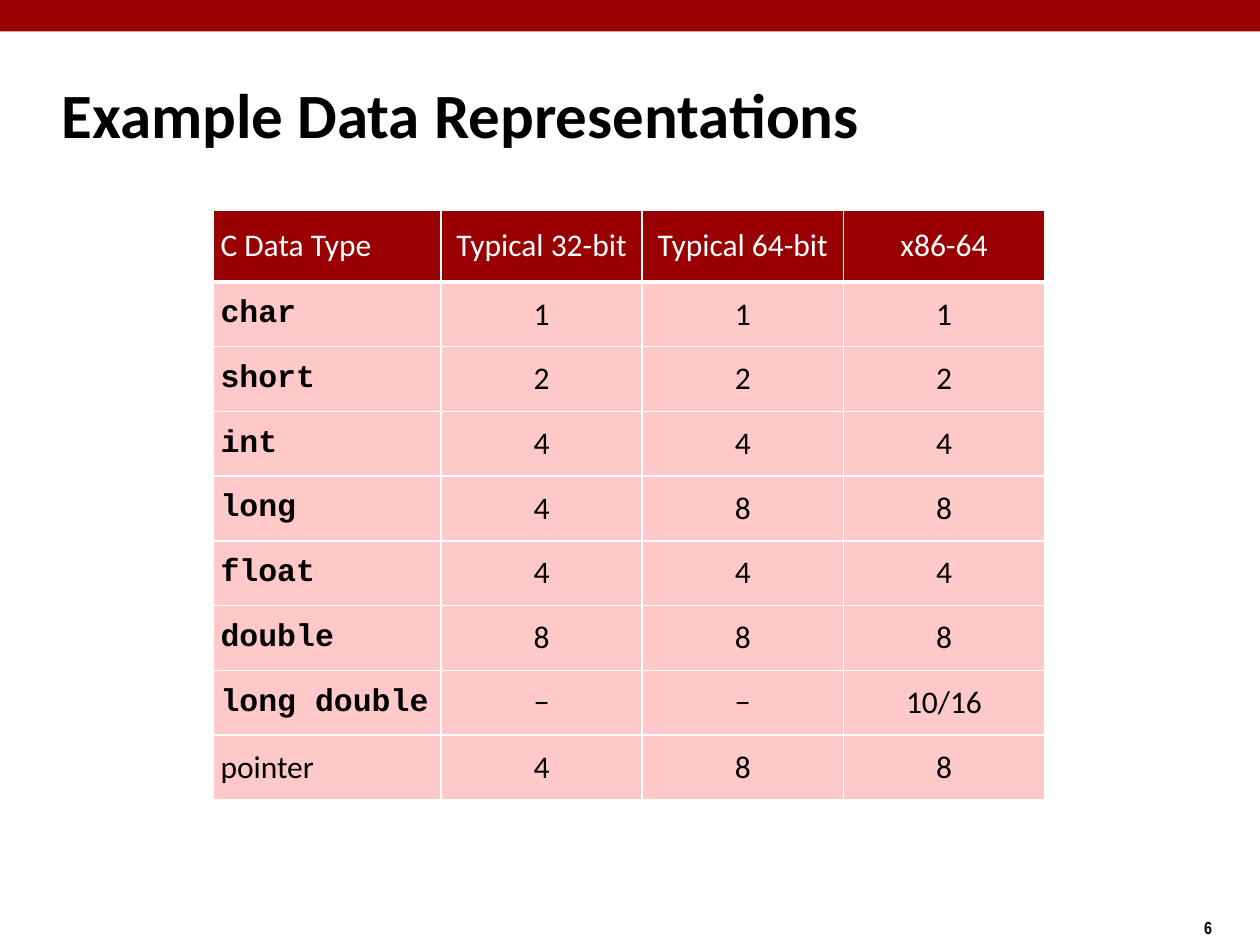
from pptx import Presentation
from pptx.dml.color import RGBColor
from pptx.enum.shapes import MSO_SHAPE
from pptx.enum.text import MSO_ANCHOR, PP_ALIGN
from pptx.oxml.ns import qn
from pptx.util import Pt
from lxml.etree import SubElement

BAR_RED = RGBColor(0x99, 0x00, 0x00)
HEADER_RED = RGBColor(0x98, 0x00, 0x02)
BODY_PINK = RGBColor(0xFF, 0xC8, 0xC9)
WHITE = RGBColor(0xFF, 0xFF, 0xFF)
BLACK = RGBColor(0x00, 0x00, 0x00)

THIN_BORDER, THICK_BORDER = 0.96, 3
COLUMN_WIDTHS = [130, 115, 115, 115]
ROW_HEIGHTS = [40.9] + [37] * 8
DATA_SIZES = [
    ("C Data Type", "Typical 32-bit", "Typical 64-bit", "x86-64"),
    ("char", "1", "1", "1"),
    ("short", "2", "2", "2"),
    ("int", "4", "4", "4"),
    ("long", "4", "8", "8"),
    ("float", "4", "4", "4"),
    ("double", "8", "8", "8"),
    ("long double", "−", "−", "10/16"),
    ("pointer", "4", "8", "8"),
]


def format_text(paragraph, size, font_name, color, bold):
    font = paragraph.runs[0].font
    font.size, font.name, font.bold = Pt(size), font_name, bold
    font.color.rgb = color


def add_bar(slide, left, top, width, height, color):
    bar = slide.shapes.add_shape(
        MSO_SHAPE.RECTANGLE, Pt(left), Pt(top), Pt(width), Pt(height))
    bar.shadow.inherit = False
    bar.fill.solid()
    bar.fill.fore_color.rgb = color
    bar.line.fill.background()


def add_label(slide, text, left, top, width, height, size, font_name, anchor):
    text_frame = slide.shapes.add_textbox(
        Pt(left), Pt(top), Pt(width), Pt(height)).text_frame
    text_frame.word_wrap = True
    text_frame.vertical_anchor = anchor
    text_frame.text = text
    format_text(text_frame.paragraphs[0], size, font_name, BLACK, True)


def add_border(cell, side, width):
    properties = cell._tc.get_or_add_tcPr()
    line = SubElement(properties, qn(f"a:ln{side}"), w=str(Pt(width)))
    fill = SubElement(line, qn("a:solidFill"))
    SubElement(fill, qn("a:srgbClr"), val=str(WHITE))


def format_cell(cell, text, row, column):
    is_header = row == 0
    is_keyword = column == 0 and not is_header and text != "pointer"

    # Borders come before the fill in the cell properties
    for side in "LRTB":
        under_header = (row, side) in ((0, "B"), (1, "T"))
        add_border(cell, side, THICK_BORDER if under_header else THIN_BORDER)
    cell.fill.solid()
    cell.fill.fore_color.rgb = HEADER_RED if is_header else BODY_PINK

    cell.margin_left = cell.margin_right = Pt(4)
    cell.margin_top = cell.margin_bottom = Pt(3.6)
    cell.vertical_anchor = MSO_ANCHOR.MIDDLE
    cell.text = text
    paragraph = cell.text_frame.paragraphs[0]
    paragraph.alignment = PP_ALIGN.LEFT if column == 0 else PP_ALIGN.CENTER
    format_text(paragraph, 18, "Courier New" if is_keyword else "Calibri",
                WHITE if is_header else BLACK, is_keyword)


def add_size_table(slide, left, top):
    table = slide.shapes.add_table(
        len(ROW_HEIGHTS), len(COLUMN_WIDTHS), Pt(left), Pt(top),
        Pt(sum(COLUMN_WIDTHS)), Pt(sum(ROW_HEIGHTS))).table
    for column, width in zip(table.columns, COLUMN_WIDTHS):
        column.width = Pt(width)
    for row, height in zip(table.rows, ROW_HEIGHTS):
        row.height = Pt(height)
    for row, values in enumerate(DATA_SIZES):
        for column, text in enumerate(values):
            format_cell(table.cell(row, column), text, row, column)


def main():
    presentation = Presentation()
    presentation.slide_width, presentation.slide_height = Pt(720), Pt(540)
    slide = presentation.slides.add_slide(presentation.slide_layouts[6])

    # Top bar and page number
    add_bar(slide, 0, 0, 720, 18, BAR_RED)
    add_label(slide, "6", 681, 520.6, 54, 19.4, 10, "Arial Narrow",
              MSO_ANCHOR.TOP)

    # Title
    add_label(slide, "Example Data Representations", 28, 34.6, 597.6, 59.8,
              36, "Calibri", MSO_ANCHOR.MIDDLE)

    # Sizes of the C data types
    add_size_table(slide, 122, 120.2)

    presentation.save("out.pptx")


if __name__ == "__main__":
    main()
